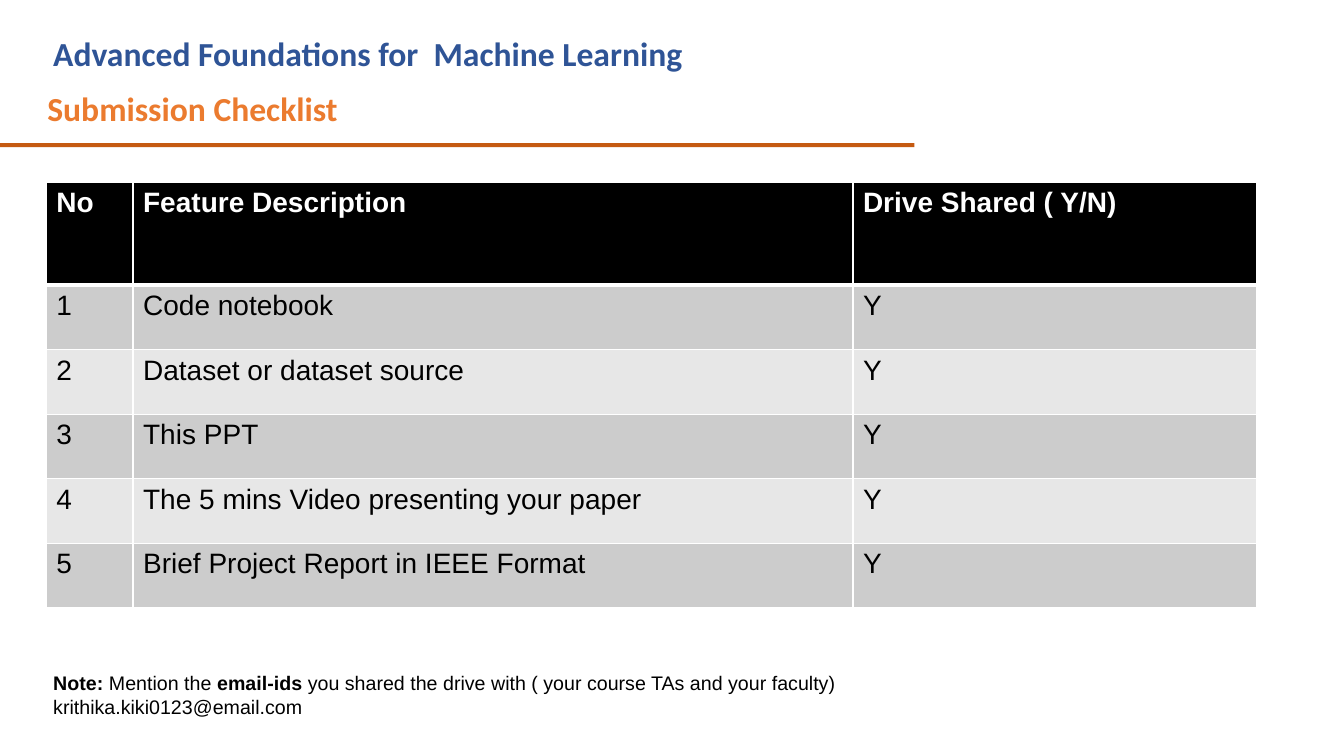
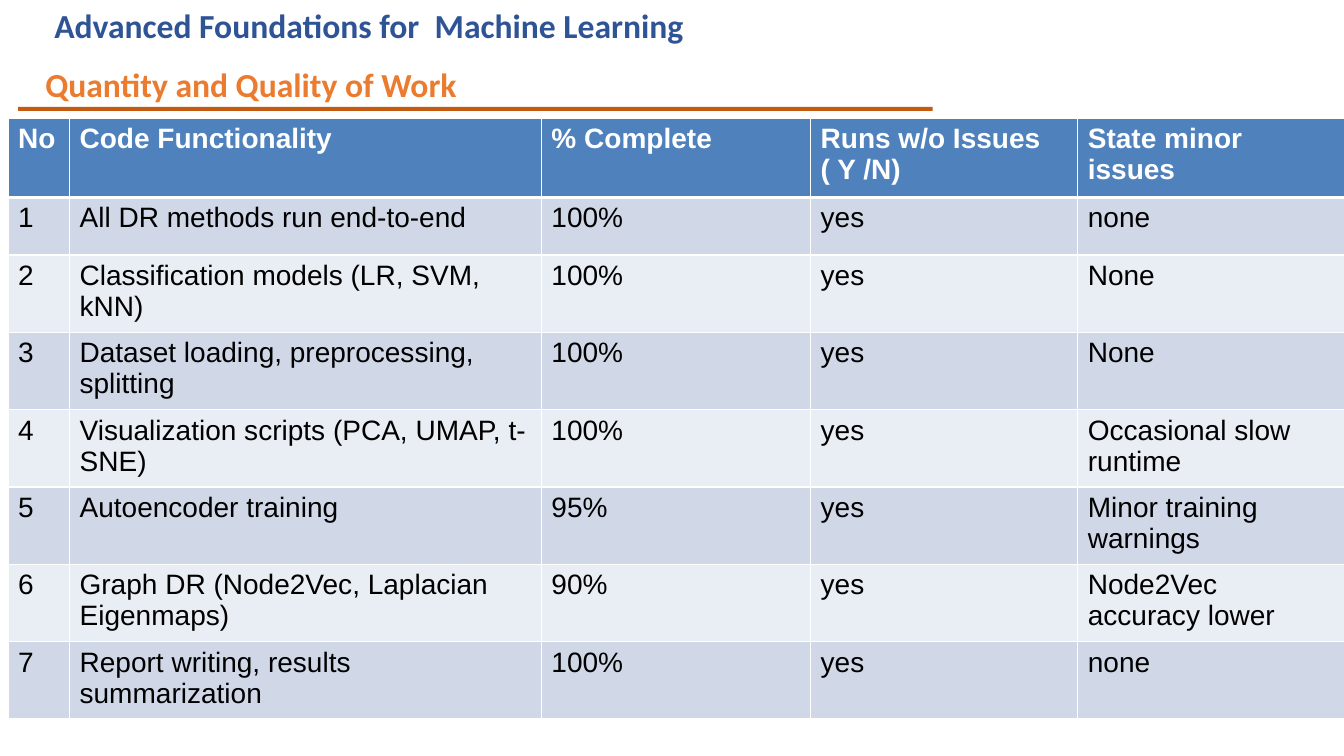
from lxml.etree import SubElement
from pptx import Presentation
from pptx.dml.color import RGBColor
from pptx.enum.shapes import MSO_SHAPE
from pptx.enum.text import MSO_ANCHOR, MSO_AUTO_SIZE, PP_ALIGN
from pptx.oxml.ns import qn
from pptx.util import Inches, Pt

COURSE_NAME = "Advanced Foundations for  Machine Learning"
RULE_COLOR = "C55A11"
BORDER_COLOR = "FFFFFF"

COURSE_STYLE = {"name": "Calibri", "size": Pt(24), "bold": True, "color": "2F5496"}
TITLE_STYLE = COURSE_STYLE | {"color": "EB7B2F"}
CELL_STYLE = {"name": "Arial", "size": Pt(20), "bold": False, "color": "000000"}
HEADER_STYLE = CELL_STYLE | {"bold": True, "color": "FFFFFF"}
NOTE_STYLE = CELL_STYLE | {"size": Pt(14)}

# Fills of the header row, the odd rows and the even rows
GRAY_BANDS = ("000000", "CCCCCC", "E7E7E7")
BLUE_BANDS = ("4F81BD", "D0D8E8", "E9EDF4")

CHECKLIST = [
    ("No", "Feature Description", "Drive Shared ( Y/N)"),
    ("1", "Code notebook", "Y"),
    ("2", "Dataset or dataset source", "Y"),
    ("3", "This PPT", "Y"),
    ("4", "The 5 mins Video presenting your paper", "Y"),
    ("5", "Brief Project Report in IEEE Format", "Y"),
]
WORK_STATUS = [
    ("No", "Code Functionality", "% Complete", "Runs w/o Issues ( Y /N)", "State minor issues"),
    ("1", "All DR methods run end-to-end", "100%", "yes", "none"),
    ("2", "Classification models (LR, SVM, kNN)", "100%", "yes", "None"),
    ("3", "Dataset loading, preprocessing, splitting", "100%", "yes", "None"),
    ("4", "Visualization scripts (PCA, UMAP, t-SNE)", "100%", "yes", "Occasional slow runtime"),
    ("5", "Autoencoder training", "95%", "yes", "Minor training warnings"),
    ("6", "Graph DR (Node2Vec, Laplacian Eigenmaps)", "90%", "yes", "Node2Vec accuracy lower"),
    ("7", "Report writing, results summarization", "100%", "yes", "none"),
]
NOTE = [
    [("Note:", True), (" Mention the ", False), ("email-ids", True),
     (" you shared the drive with ( your course TAs and your faculty)", False)],
    [("krithika.kiki0123@email.com", False)],
]


def color(hex_string):
    return RGBColor.from_string(hex_string)


def format_font(font, style):
    for attribute, value in style.items():
        if attribute == "color":
            font.color.rgb = color(value)
        else:
            setattr(font, attribute, value)


def add_text(slide, left, top, width, height, paragraphs, style, wrap=True):
    """Add a text box; each paragraph is a list of (text, bold) runs."""
    box = slide.shapes.add_textbox(Inches(left), Inches(top), Inches(width), Inches(height))
    frame = box.text_frame
    frame.word_wrap = wrap
    frame.auto_size = MSO_AUTO_SIZE.SHAPE_TO_FIT_TEXT
    for index, runs in enumerate(paragraphs):
        paragraph = frame.add_paragraph() if index else frame.paragraphs[0]
        for text, bold in runs:
            run = paragraph.add_run()
            run.text = text
            format_font(run.font, style | {"bold": bold})


def place_title(slide, text, left, top):
    title = slide.shapes.title
    title.left, title.top = Inches(left), Inches(top)
    title.width, title.height = Inches(5.94), Inches(0.56)
    frame = title.text_frame
    frame.text = text
    frame_format = {
        "margin_left": 0, "margin_right": 0, "margin_bottom": 0, "margin_top": Inches(0.01),
        "vertical_anchor": MSO_ANCHOR.TOP, "word_wrap": True,
        "auto_size": MSO_AUTO_SIZE.SHAPE_TO_FIT_TEXT,
    }
    for attribute, value in frame_format.items():
        setattr(frame, attribute, value)
    paragraph = frame.paragraphs[0]
    paragraph.alignment = PP_ALIGN.LEFT
    paragraph.line_spacing = 1.35
    properties = paragraph._p.get_or_add_pPr()
    properties.set("marL", str(Inches(0.06)))
    properties.set("indent", str(Inches(-0.05)))
    format_font(paragraph.runs[0].font, TITLE_STYLE)


def add_rule(slide, left, top):
    rule = slide.shapes.add_shape(
        MSO_SHAPE.RECTANGLE, Inches(left), Inches(top), Inches(9.07), Inches(0.04))
    rule.shadow.inherit = False
    rule.fill.solid()
    rule.fill.fore_color.rgb = color(RULE_COLOR)
    rule.line.fill.background()


def add_heading_slide(presentation, title, course_at, title_at, rule_at):
    slide = presentation.slides.add_slide(presentation.slide_layouts[5])
    add_rule(slide, *rule_at)
    add_text(slide, *course_at, 8.2, 0.5, [[(COURSE_NAME, True)]], COURSE_STYLE)
    place_title(slide, title, *title_at)
    return slide


def set_borders(cell, row_index):
    """Draw thin borders, with a thick one between the header and the body."""
    widths = {"L": 1, "R": 1, "T": 3 if row_index == 1 else 1, "B": 3 if row_index == 0 else 1}
    properties = cell._tc.get_or_add_tcPr()
    for side, width in widths.items():
        line = SubElement(properties, qn(f"a:ln{side}"), w=str(Pt(width)))
        fill = SubElement(line, qn("a:solidFill"))
        SubElement(fill, qn("a:srgbClr"), val=BORDER_COLOR)


def add_banded_table(slide, left, top, column_widths, header_height, row_height, rows, bands):
    heights = [header_height] + [row_height] * (len(rows) - 1)
    table = slide.shapes.add_table(
        len(rows), len(column_widths), Inches(left), Inches(top),
        Inches(sum(column_widths)), Inches(sum(heights))).table
    for column, width in zip(table.columns, column_widths):
        column.width = Inches(width)
    for row_index, (row, height, texts) in enumerate(zip(table.rows, heights, rows)):
        row.height = Inches(height)
        band = bands[2 - row_index % 2] if row_index else bands[0]
        for cell, text in zip(row.cells, texts):
            cell.text = text
            set_borders(cell, row_index)
            cell.fill.solid()
            cell.fill.fore_color.rgb = color(band)
            style = CELL_STYLE if row_index else HEADER_STYLE
            format_font(cell.text_frame.paragraphs[0].runs[0].font, style)


def main():
    presentation = Presentation()
    presentation.slide_width, presentation.slide_height = Inches(13.33), Inches(7.5)

    checklist = add_heading_slide(
        presentation, "Submission Checklist", (0.43, 0.28), (0.46, 0.72), (0, 1.42))
    add_banded_table(
        checklist, 0.46, 1.81, (0.86, 7.14, 4), 1.02, 0.64, CHECKLIST, GRAY_BANDS)
    add_text(checklist, 0.43, 6.61, 8.06, 0.57, NOTE, NOTE_STYLE, wrap=False)

    work = add_heading_slide(
        presentation, "Quantity and Quality of Work", (0.44, 0), (0.44, 0.48), (0.18, 1.06))
    add_banded_table(
        work, 0.08, 1.17, (0.61, 4.68, 2.67, 2.65, 2.65), 0.79, 0.57, WORK_STATUS, BLUE_BANDS)

    presentation.save("out.pptx")


if __name__ == "__main__":
    main()
